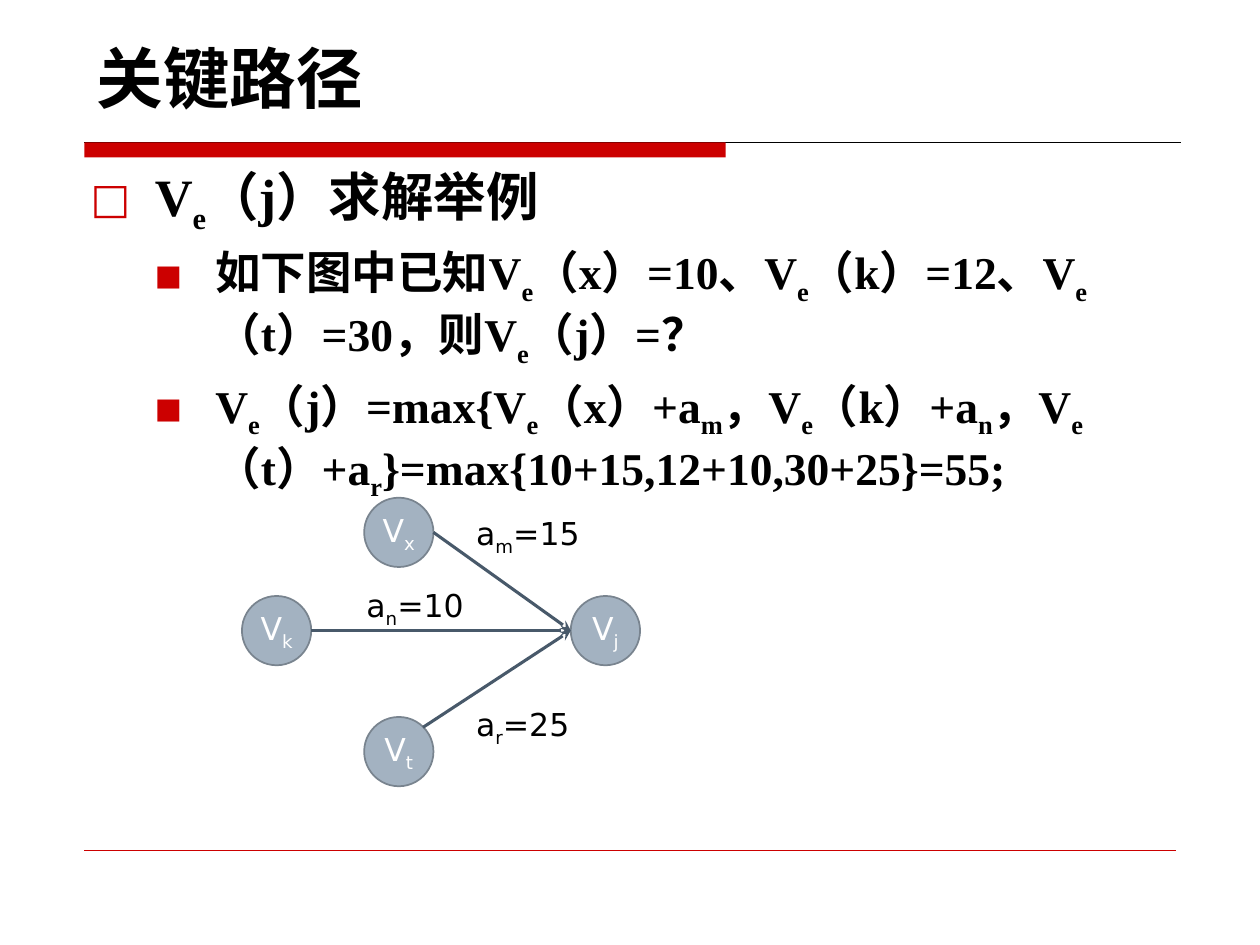
from dataclasses import dataclass

from lxml import etree
from pptx import Presentation
from pptx.dml.color import RGBColor
from pptx.enum.shapes import MSO_CONNECTOR, MSO_SHAPE
from pptx.enum.text import MSO_ANCHOR, MSO_AUTO_SIZE, PP_ALIGN
from pptx.oxml.ns import qn
from pptx.util import Inches, Pt

STRAIGHT = MSO_CONNECTOR.STRAIGHT
OVAL, RECTANGLE = MSO_SHAPE.OVAL, MSO_SHAPE.RECTANGLE
CENTER, LEFT = PP_ALIGN.CENTER, PP_ALIGN.LEFT
TOP, MIDDLE, BOTTOM = MSO_ANCHOR.TOP, MSO_ANCHOR.MIDDLE, MSO_ANCHOR.BOTTOM
FIT_SHAPE = MSO_AUTO_SIZE.SHAPE_TO_FIT_TEXT

CELL = 0.1  # inches; the slide is a grid of 100 columns by 75 rows
COLUMNS, ROWS = 100, 75


@dataclass(frozen=True)
class Theme:
    accent: str = "CC0000"
    ink: str = "000000"
    paper: str = "FFFFFF"
    node_fill: str = "A3B2C1"
    node_line: str = "79848F"
    edge: str = "48596A"
    sans: str = "DejaVu Sans"
    serif: str = "Times New Roman"
    title_size: int = 38
    level_sizes: tuple = (30, 26)
    diagram_size: int = 18


@dataclass(frozen=True)
class Level:
    bullet: str
    bullet_percent: int
    margin: float
    hanging: float


LEVELS = (Level("□", 80, 5.1, 5.1), Level("■", 63, 9.9, 4.8))


def grid(cells):
    return Inches(cells * CELL)


def color(value):
    return RGBColor.from_string(value)


class SlideBuilder:
    def __init__(self, slide, theme):
        self.slide = slide
        self.theme = theme

    def set_text(self, paragraph, markup, font, size, ink, bold=False):
        """Fill a paragraph; the letter after each underscore is a subscript."""
        paragraph.font.name = font
        paragraph.font.size = Pt(size)
        paragraph.font.bold = bold
        paragraph.font.color.rgb = color(ink)
        first, *rest = markup.split("_")
        pieces = [(first, False)]
        for part in rest:
            pieces += [(part[0], True), (part[1:], False)]
        for text, lowered in pieces:
            if text:
                run = paragraph.add_run()
                run.text = text
                if lowered:
                    run.font._element.set("baseline", "-25000")

    def text_box(self, left, top, width, height, anchor=TOP):
        box = self.slide.shapes.add_textbox(*map(grid, (left, top, width, height)))
        box.text_frame.word_wrap = True
        box.text_frame.vertical_anchor = anchor
        return box.text_frame

    def title(self, text, *place):
        frame = self.text_box(*place, anchor=BOTTOM)
        theme = self.theme
        self.set_text(frame.paragraphs[0], text, theme.sans, theme.title_size, theme.ink, bold=True)

    def bullets(self, items, *place):
        frame = self.text_box(*place)
        for index, (depth, markup) in enumerate(items):
            paragraph = frame.add_paragraph() if index else frame.paragraphs[0]
            size = self.theme.level_sizes[depth]
            paragraph.level = depth
            paragraph.space_before = Pt(size * 0.2)
            self.add_bullet(paragraph, LEVELS[depth])
            self.set_text(paragraph, markup, self.theme.serif, size, self.theme.ink, bold=True)

    def add_bullet(self, paragraph, level):
        properties = paragraph._p.get_or_add_pPr()
        properties.set("marL", str(grid(level.margin)))
        properties.set("indent", str(-grid(level.hanging)))
        bullet_color = etree.SubElement(properties, qn("a:buClr"))
        etree.SubElement(bullet_color, qn("a:srgbClr"), val=self.theme.accent)
        etree.SubElement(properties, qn("a:buSzPct"), val=str(level.bullet_percent * 1000))
        etree.SubElement(properties, qn("a:buFont"), typeface=self.theme.sans)
        etree.SubElement(properties, qn("a:buChar"), char=level.bullet)

    def shape(self, kind, place, fill):
        shape = self.slide.shapes.add_shape(kind, *map(grid, place))
        shape.shadow.inherit = False
        shape.fill.solid()
        shape.fill.fore_color.rgb = color(fill)
        return shape

    def bar(self, *place):
        self.shape(RECTANGLE, place, self.theme.accent).line.fill.background()

    def node(self, markup, left, top, diameter):
        theme = self.theme
        circle = self.shape(OVAL, (left, top, diameter, diameter), theme.node_fill)
        circle.line.color.rgb = color(theme.node_line)
        circle.line.width = Pt(1)
        frame = circle.text_frame
        frame.margin_left = frame.margin_right = 0
        frame.vertical_anchor = MIDDLE
        paragraph = frame.paragraphs[0]
        paragraph.alignment = CENTER
        self.set_text(paragraph, markup, theme.sans, theme.diagram_size, theme.paper)

    def line(self, start, end, ink, width, arrow=False):
        connector = self.slide.shapes.add_connector(STRAIGHT, *map(grid, (*start, *end)))
        connector.line.color.rgb = color(ink)
        connector.line.width = Pt(width)
        if arrow:
            etree.SubElement(connector.line._get_or_add_ln(), qn("a:tailEnd"), type="stealth")
        etree.SubElement(connector._element.spPr, qn("a:effectLst"))

    def label(self, markup, left, top):
        frame = self.text_box(left, top, 11.8, 4)
        frame.auto_size = FIT_SHAPE
        paragraph = frame.paragraphs[0]
        paragraph.alignment = LEFT
        self.set_text(paragraph, markup, self.theme.sans, self.theme.diagram_size, self.theme.ink)


def main():
    presentation = Presentation()
    presentation.slide_width, presentation.slide_height = grid(COLUMNS), grid(ROWS)
    slide = presentation.slides.add_slide(presentation.slide_layouts[6])
    theme = Theme()
    builder = SlideBuilder(slide, theme)

    margin, rule_row, footer_row = 6.7, 11.3, 67.5
    builder.line((margin, rule_row), (93.7, rule_row), theme.ink, 0.5)
    builder.bar(margin, rule_row, 50.9, 1.2)
    builder.line((margin, footer_row), (93.3, footer_row), theme.accent, 0.25)

    builder.title("关键路径", margin, 1.2, 65.6, 8.6)
    builder.bullets(
        [
            (0, "V_e（j）求解举例"),
            (1, "如下图中已知V_e（x）=10、V_e（k）=12、V_e（t）=30，则V_e（j）=？"),
            (1, "V_e（j）=max{V_e（x）+a_m，V_e（k）+a_n，V_e（t）+a_r}"
                "=max{10+15,12+10,30+25}=55;"),
        ],
        6.2, 12.5, 87.5, 53.4,
    )

    diameter = 5.5
    nodes = {"j": (45.3, 47.3), "x": (28.9, 39.5), "k": (19.2, 47.3), "t": (28.9, 56.9)}
    for name, (left, top) in nodes.items():
        builder.node(f"V_{name}", left, top, diameter)

    # Each edge leaves its circle at a share of the diameter, across and down.
    target = (nodes["j"][0], nodes["j"][1] + diameter / 2)
    for name, across, down in (("x", 1, 0.5), ("k", 1, 0.5), ("t", 0.85, 0.15)):
        left, top = nodes[name]
        start = (left + diameter * across, top + diameter * down)
        builder.line(start, target, theme.edge, 1.75, arrow=True)

    for markup, left, top in (("a_m=15", 36.8, 40.3), ("a_n=10", 28.1, 46), ("a_r=25", 36.8, 55.5)):
        builder.label(markup, left, top)

    presentation.save("out.pptx")


if __name__ == "__main__":
    main()
